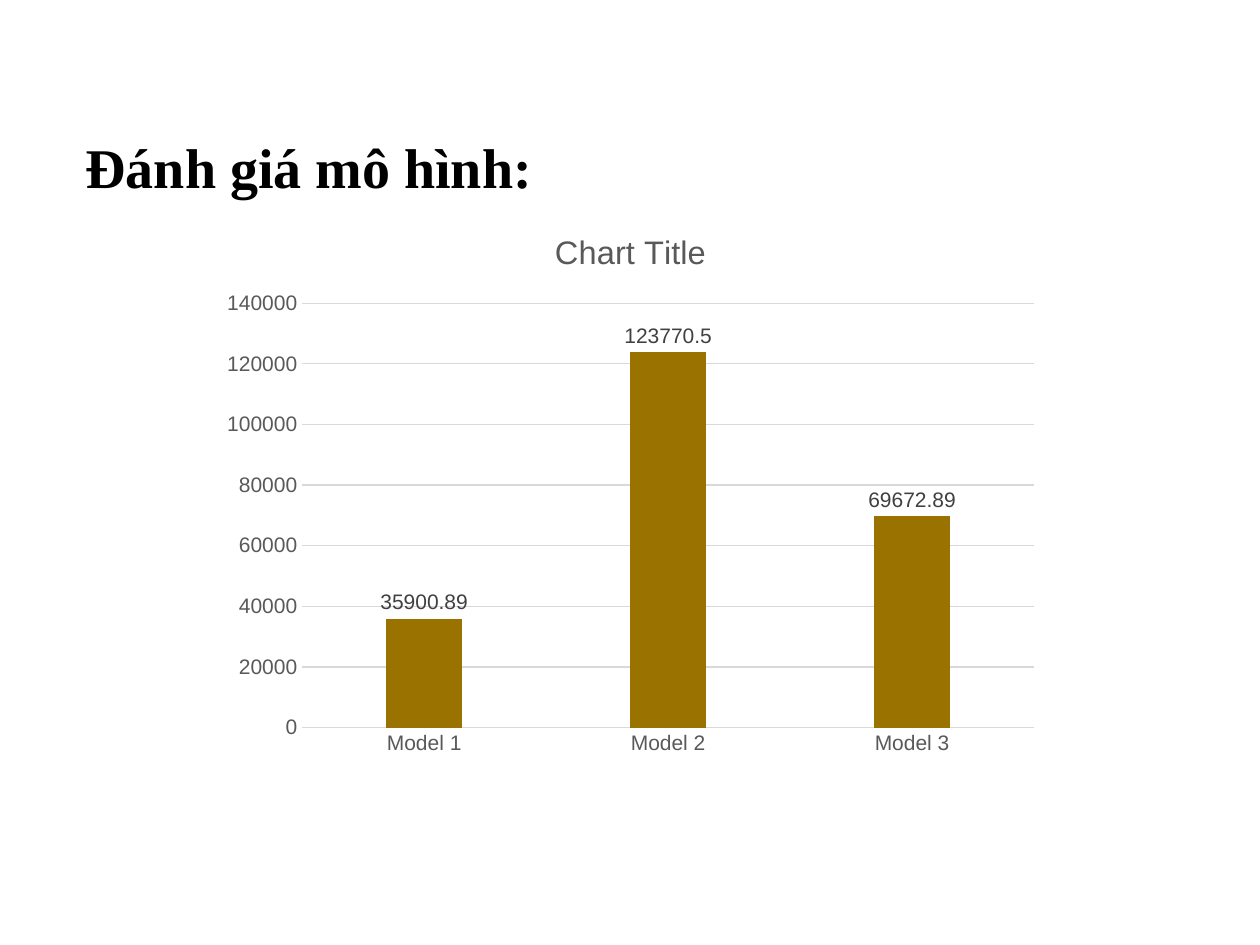
from pptx import Presentation
from pptx.chart.data import CategoryChartData
from pptx.dml.color import RGBColor
from pptx.enum.chart import XL_CHART_TYPE, XL_LABEL_POSITION, XL_TICK_MARK
from pptx.oxml.ns import qn
from pptx.util import Inches, Pt

COLUMN = XL_CHART_TYPE.COLUMN_CLUSTERED
ABOVE = XL_LABEL_POSITION.OUTSIDE_END
NO_TICK = XL_TICK_MARK.NONE
GREY, RULE = "595959", "D9D9D9"
MODELS = ["Model 1", "Model 2", "Model 3"]
# Name, fill and values; only the first series has data
SERIES = [
    ("Series 1", "9A7200", [35900.89, 123770.5, 69672.89]),
    ("Series 2", "333399", []),
    ("Series 3", "FFFFFF", []),
]


def color(code):
    return RGBColor.from_string(code)


def style(font, size, code, name="Arial", bold=False):
    font.name, font.size, font.bold = name, Pt(size), bold
    font.color.rgb = color(code)


def rule(line):
    line.color.rgb = color(RULE)
    line.width = Pt(0.75)


def add_title(slide, box):
    frame = slide.shapes.add_textbox(*box).text_frame
    frame.word_wrap = True
    run = frame.paragraphs[0].add_run()
    run.text = "Đánh giá mô hình:"
    style(run.font, 32, "000000", "Times New Roman", True)


def add_scores(slide, box):
    data = CategoryChartData()
    data.categories = MODELS
    for name, _, vals in SERIES:
        data.add_series(name, vals)
    chart = slide.shapes.add_chart(COLUMN, *box, data).chart
    style(chart.font, 10, "000000")
    chart.has_legend = False

    # Heading
    chart.has_title = True
    run = chart.chart_title.text_frame.paragraphs[0].add_run()
    run.text = "Chart Title"
    style(run.font, 18.6, GREY)
    chart.chart_title.include_in_layout = False

    # Axes and grid
    for axis in (chart.category_axis, chart.value_axis):
        axis.major_tick_mark = axis.minor_tick_mark = NO_TICK
        style(axis.tick_labels.font, 12, GREY)
    rule(chart.category_axis.format.line)
    axis = chart.value_axis
    axis.minimum_scale, axis.maximum_scale, axis.major_unit = 0, 140000, 20000
    axis.format.line.fill.background()
    axis.has_major_gridlines = True
    rule(axis.major_gridlines.format.line)

    # Columns; a series without data takes no room
    plot = chart.plots[0]
    plot.gap_width, plot.overlap, plot.vary_by_categories = 219, -27, False
    for series, (_, code, vals) in zip(plot.series, SERIES):
        fill = series.format.fill
        fill.solid()
        fill.fore_color.rgb = color(code)
        if vals:
            labels = series.data_labels
            labels.show_value = True
            labels.position = ABOVE
            style(labels.font, 12, "404040")
        else:
            node = series._element
            node.remove(node.find(qn("c:val")))


def main():
    deck = Presentation()
    deck.slide_width, deck.slide_height = Inches(10), Inches(7.5)
    slide = deck.slides.add_slide(deck.slide_layouts[6])
    add_title(slide, [Inches(n) for n in (0.58, 1, 8.83, 0.64)])
    add_scores(slide, [Inches(n) for n in (1.67, 1.64, 6.67, 4.44)])
    deck.save("out.pptx")


if __name__ == "__main__":
    main()
